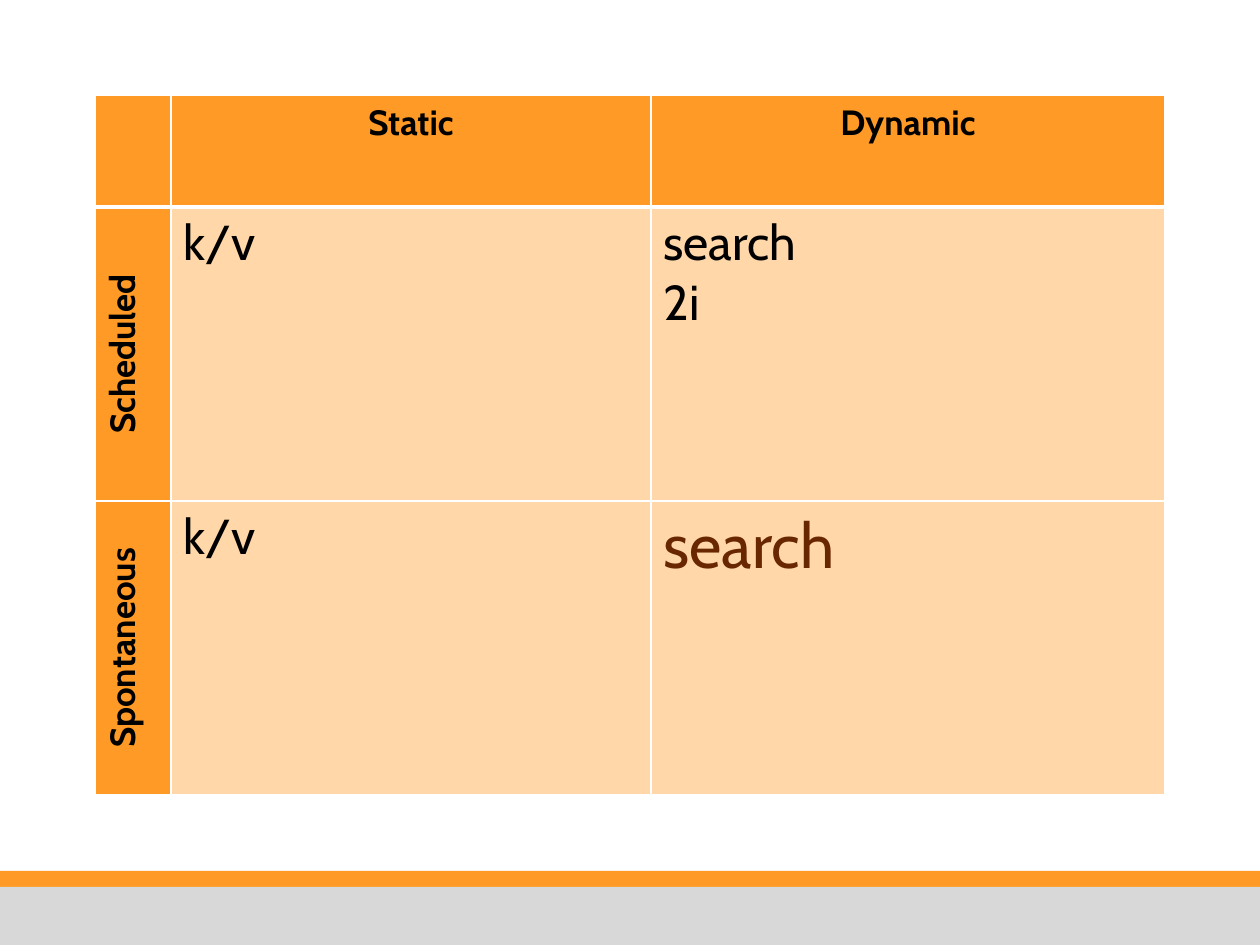
from lxml import etree
from pptx import Presentation
from pptx.dml.color import RGBColor
from pptx.enum.shapes import MSO_SHAPE
from pptx.enum.text import PP_ALIGN
from pptx.oxml.ns import qn
from pptx.util import Emu, Pt

PX = 914400 // 126
ORANGE = RGBColor(0xFE, 0x9A, 0x25)
PEACH = RGBColor(0xFF, 0xD7, 0xA8)
GREY = RGBColor(0xD8, 0xD8, 0xD8)
BLACK = RGBColor(0, 0, 0)
BROWN = RGBColor(0x69, 0x27, 0x01)
WHITE = RGBColor(0xFF, 0xFF, 0xFF)
FONT = "Cabin"

COLS = [76, 480, 514]
ROWS = [112, 294, 294]
CELLS = [
    ["", "Static", "Dynamic"],
    ["Scheduled", "k/v", "search\n2i"],
    ["Spontaneous", "k/v", "search"],
]


def px(n):
    return Emu(n * PX)


def add_bar(s, x, y, w, h, color):
    sp = s.shapes.add_shape(MSO_SHAPE.RECTANGLE, px(x), px(y), px(w), px(h))
    sp.shadow.inherit = False
    sp.fill.solid()
    sp.fill.fore_color.rgb = color
    sp.line.fill.background()


def add_footer(s, x, y, w, h):
    stripe = 16
    add_bar(s, x, y, w, stripe, ORANGE)
    add_bar(s, x, y + stripe, w, h - stripe, GREY)


def set_borders(tc_pr, widths):
    for side, width in widths.items():
        ln = etree.SubElement(tc_pr, qn(f"a:ln{side}"), w=str(Pt(width)))
        fill = etree.SubElement(ln, qn("a:solidFill"))
        etree.SubElement(fill, qn("a:srgbClr"), val=str(WHITE))


def fill_cell(cell, row, col, text):
    is_header = row == 0 or col == 0
    is_highlight = row == 2 and col == 2
    tc_pr = cell._tc.get_or_add_tcPr()
    # A thick rule separates the header row from the body
    set_borders(tc_pr, {"L": 1, "R": 1, "T": 3 if row == 1 else 1,
                        "B": 3 if row == 0 else 1})
    cell.fill.solid()
    cell.fill.fore_color.rgb = ORANGE if is_header else PEACH
    if col == 0 and row > 0:
        tc_pr.set("vert", "vert270")

    cell.text = text
    for p in cell.text_frame.paragraphs:
        p.alignment = PP_ALIGN.CENTER if is_header else PP_ALIGN.LEFT
        p.font.name = FONT
        p.font.size = Pt(20 if is_header else 36 if is_highlight else 28)
        p.font.bold = is_header
        p.font.color.rgb = BROWN if is_highlight else BLACK


def add_matrix(s, x, y):
    frame = s.shapes.add_table(len(ROWS), len(COLS), px(x), px(y),
                               px(sum(COLS)), px(sum(ROWS)))
    table = frame.table
    table.first_row = table.horz_banding = False
    for column, width in zip(table.columns, COLS):
        column.width = px(width)
    for i, (row, height) in enumerate(zip(table.rows, ROWS)):
        row.height = px(height)
        for j, cell in enumerate(row.cells):
            fill_cell(cell, i, j, CELLS[i][j])


def main():
    prs = Presentation()
    prs.slide_width, prs.slide_height = px(1260), px(945)
    s = prs.slides.add_slide(prs.slide_layouts[6])
    add_footer(s, 0, 871, 1260, 74)
    add_matrix(s, 95, 95)
    prs.save("out.pptx")


if __name__ == "__main__":
    main()
